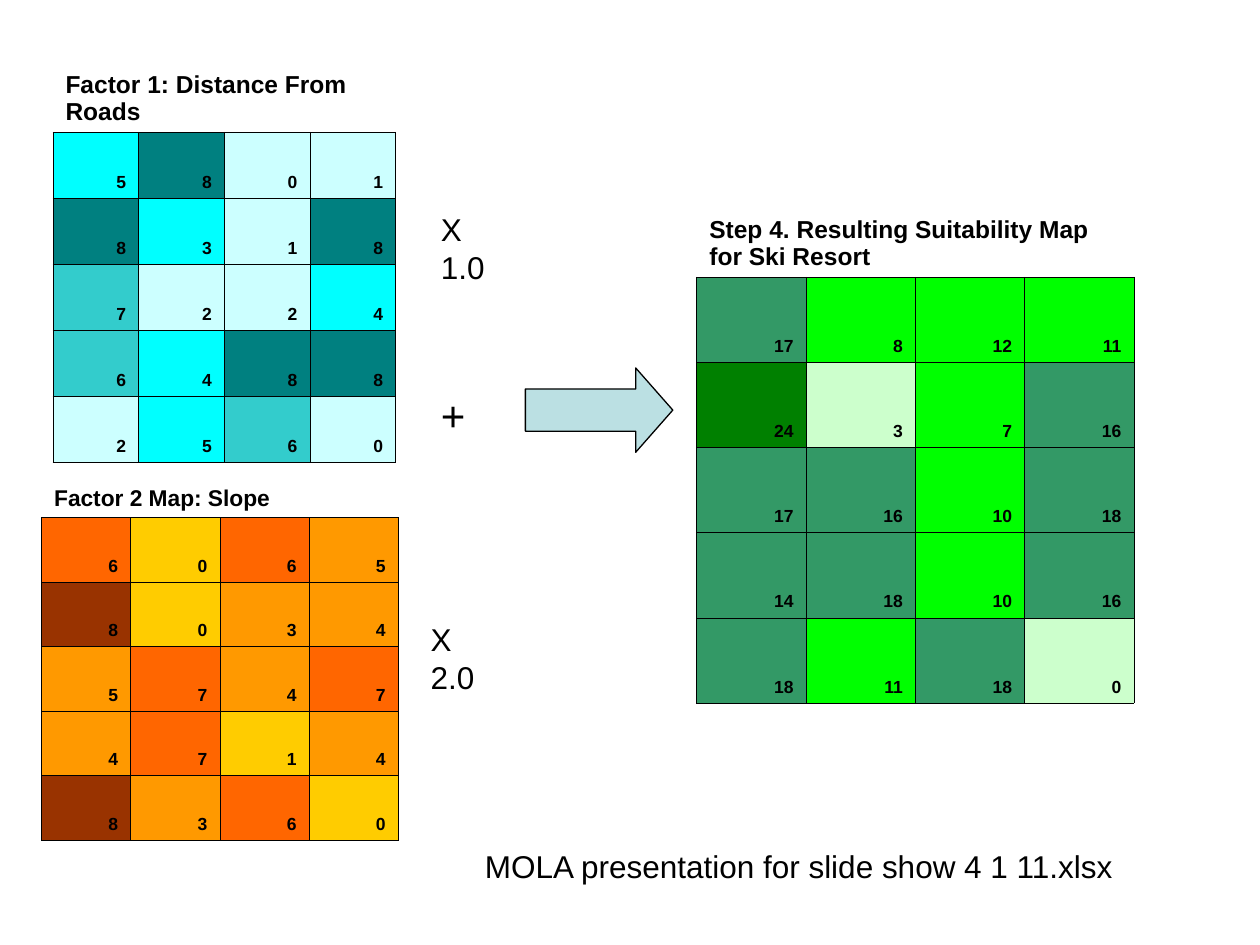
from dataclasses import dataclass

from lxml.etree import SubElement
from pptx import Presentation
from pptx.dml.color import RGBColor
from pptx.enum.shapes import MSO_SHAPE
from pptx.enum.text import MSO_ANCHOR, MSO_AUTO_SIZE, PP_ALIGN
from pptx.oxml.ns import qn
from pptx.util import Inches, Pt


@dataclass(frozen=True)
class Theme:
    font: str = "Arial"
    ink: str = "000000"
    arrow: str = "BBE0E3"
    aqua: tuple = ("CCFFFF", "00FFFF", "33CCCC", "008080")
    orange: tuple = ("FFCC00", "FF9900", "FF6600", "993300")
    green: tuple = ("CCFFCC", "00FF00", "339966", "008000")
    value_size: float = 10
    small_title_size: float = 13
    title_size: float = 14
    label_size: float = 18
    plus_size: float = 24
    grid_width: float = 0.45
    arrow_width: float = 0.75


THEME = Theme()
PLAIN_TABLE_STYLE = "{2D5ABB26-0587-4C30-8999-92F81FD0307C}"
FACTOR_LIMITS = (3, 6, 8)
RESULT_LIMITS = (6, 13, 20)

ROAD_SCORES = ((5, 8, 0, 1), (8, 3, 1, 8), (7, 2, 2, 4), (6, 4, 8, 8), (2, 5, 6, 0))
SLOPE_SCORES = ((6, 0, 6, 5), (8, 0, 3, 4), (5, 7, 4, 7), (4, 7, 1, 4), (8, 3, 6, 0))
SUITABILITY = ((17, 8, 12, 11), (24, 3, 7, 16), (17, 16, 10, 18),
               (14, 18, 10, 16), (18, 11, 18, 0))


def write_text(frame, text, size, bold=False, align=PP_ALIGN.LEFT):
    paragraph = frame.paragraphs[0]
    paragraph.alignment = align
    run = paragraph.add_run()
    run.text = text
    run.font.name = THEME.font
    run.font.size = Pt(size)
    run.font.bold = bold
    run.font.color.rgb = RGBColor.from_string(THEME.ink)


def draw_borders(cell, sides):
    properties = cell._tc.get_or_add_tcPr()
    for side in sides:
        line = SubElement(properties, qn(f"a:ln{side}"), w=str(Pt(THEME.grid_width)))
        fill = SubElement(line, qn("a:solidFill"))
        SubElement(fill, qn("a:srgbClr"), val=THEME.ink)


def shade_for(value, limits, shades):
    return RGBColor.from_string(shades[sum(value >= limit for limit in limits)])


def add_map(slide, box, title, values, limits, shades, header_height,
            title_size=THEME.title_size, title_span=4):
    left, top, width, height = map(Inches, box)
    row_count, column_count = len(values) + 1, len(values[0])
    table = slide.shapes.add_table(row_count, column_count, left, top, width, height).table
    table.first_row = table.horz_banding = False
    table._tbl.tblPr.find(qn("a:tableStyleId")).text = PLAIN_TABLE_STYLE
    for column in table.columns:
        column.width = width // column_count
    header = Inches(header_height)
    table.rows[0].height = header
    for cell in table.rows[0].cells:
        draw_borders(cell, "B")
        cell.vertical_anchor = MSO_ANCHOR.BOTTOM
    title_cell = table.cell(0, 0)
    title_cell.merge(table.cell(0, title_span - 1))
    write_text(title_cell.text_frame, title, title_size, bold=True)
    for row_index, row_values in enumerate(values, 1):
        table.rows[row_index].height = (height - header) // len(values)
        for column_index, value in enumerate(row_values):
            cell = table.cell(row_index, column_index)
            draw_borders(cell, "LRTB")
            cell.fill.solid()
            cell.fill.fore_color.rgb = shade_for(value, limits, shades)
            cell.vertical_anchor = MSO_ANCHOR.BOTTOM
            write_text(cell.text_frame, str(value), THEME.value_size,
                       bold=True, align=PP_ALIGN.RIGHT)


def add_label(slide, box, text, size=THEME.label_size, wrap=True):
    frame = slide.shapes.add_textbox(*map(Inches, box)).text_frame
    frame.word_wrap = wrap
    frame.auto_size = MSO_AUTO_SIZE.SHAPE_TO_FIT_TEXT
    write_text(frame, text, size)


def add_result_arrow(slide, box):
    arrow = slide.shapes.add_shape(MSO_SHAPE.RIGHT_ARROW, *map(Inches, box))
    arrow.shadow.inherit = False
    arrow.adjustments[1] = 0.44
    arrow.fill.solid()
    arrow.fill.fore_color.rgb = RGBColor.from_string(THEME.arrow)
    arrow.line.color.rgb = RGBColor.from_string(THEME.ink)
    arrow.line.width = Pt(THEME.arrow_width)


def add_suitability_slide(presentation):
    slide = presentation.slides.add_slide(presentation.slide_layouts[6])
    add_map(slide, (0.33, 3.42, 2.83, 3.25), "Factor 2 Map: Slope", SLOPE_SCORES,
            FACTOR_LIMITS, THEME.orange, header_height=0.69,
            title_size=THEME.small_title_size, title_span=3)
    add_label(slide, (3.4, 1.62, 0.78, 0.4), "X 1.0", wrap=False)
    add_label(slide, (3.32, 4.87, 0.78, 0.4), "X 2.0", wrap=False)
    add_result_arrow(slide, (4.17, 2.92, 1.17, 0.67))
    add_label(slide, (3.4, 3.04, 0.6, 0.5), "+", size=THEME.plus_size)
    add_map(slide, (0.42, 0.42, 2.72, 3.25), "Factor 1: Distance From Roads",
            ROAD_SCORES, FACTOR_LIMITS, THEME.aqua, header_height=0.63)
    add_map(slide, (5.53, 1.5, 3.47, 4.08),
            "Step 4. Resulting Suitability Map for Ski Resort",
            SUITABILITY, RESULT_LIMITS, THEME.green, header_height=0.7)
    add_label(slide, (3.75, 6.67, 5.58, 0.7),
              "MOLA presentation for slide show 4 1 11.xlsx")


def main():
    presentation = Presentation()
    presentation.slide_width = Inches(10)
    presentation.slide_height = Inches(7.5)
    add_suitability_slide(presentation)
    presentation.save("out.pptx")


if __name__ == "__main__":
    main()
